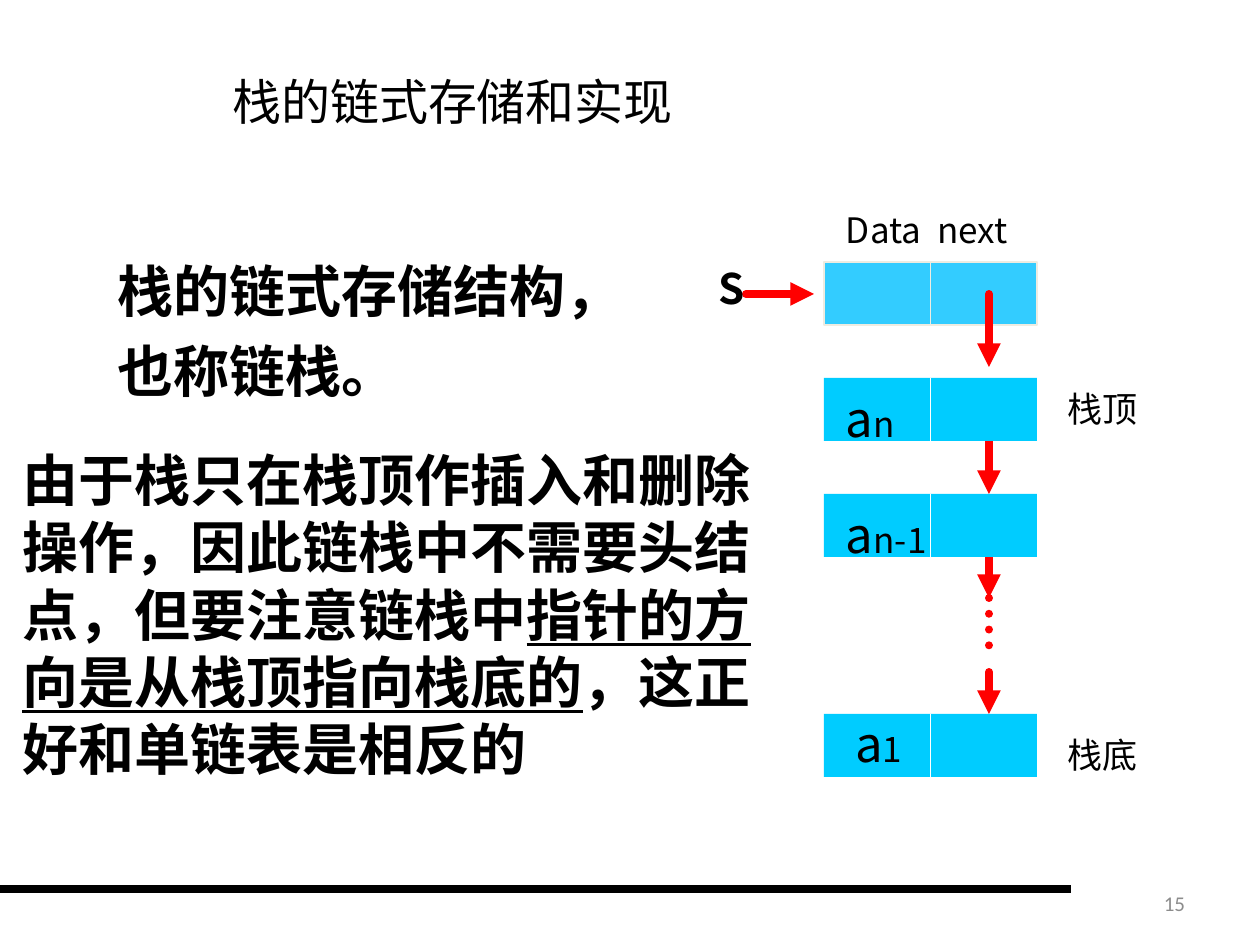
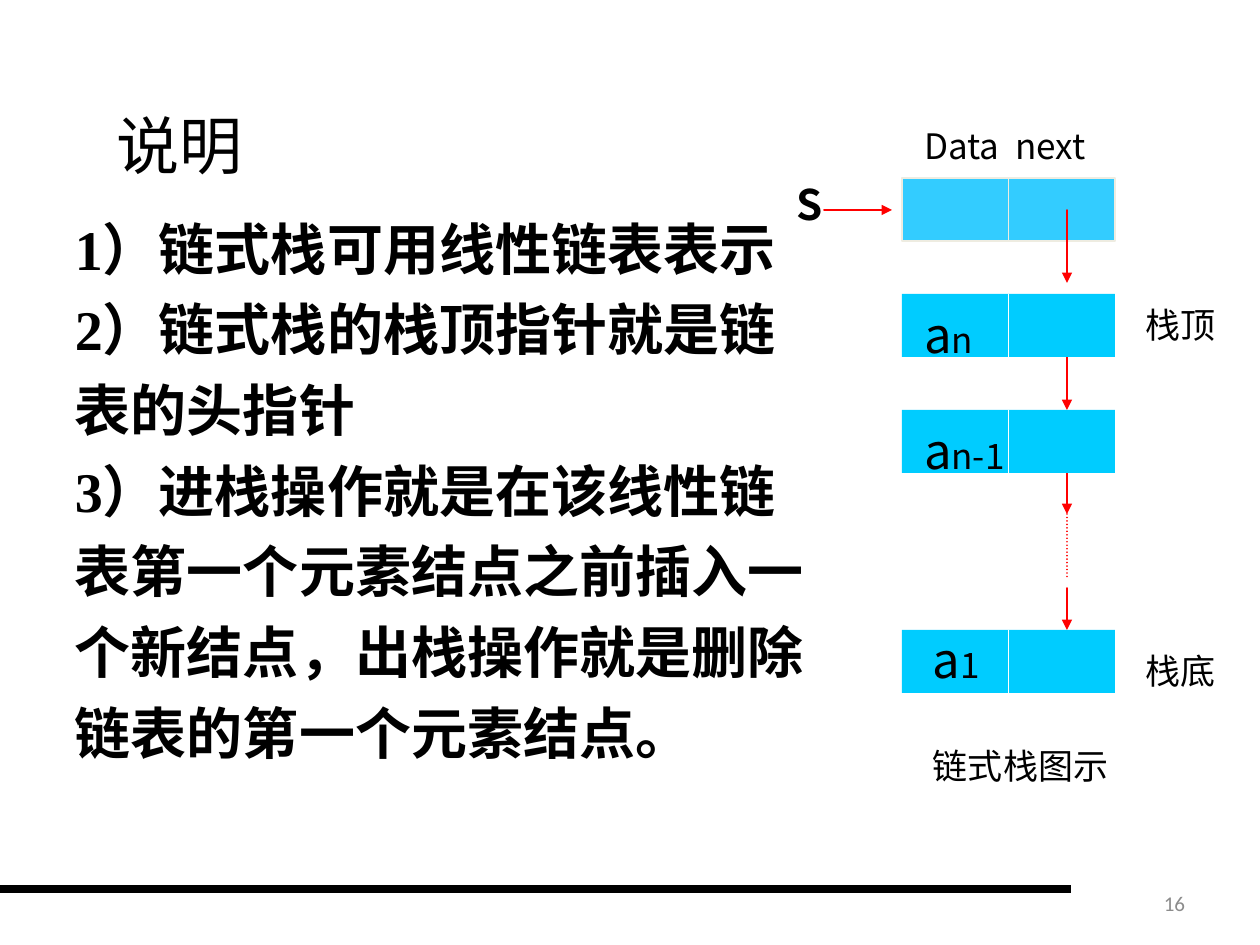
from dataclasses import dataclass

from lxml import etree
from pptx import Presentation
from pptx.dml.color import RGBColor
from pptx.enum.dml import MSO_LINE_DASH_STYLE
from pptx.enum.shapes import MSO_CONNECTOR, MSO_SHAPE
from pptx.enum.text import MSO_ANCHOR, PP_ALIGN
from pptx.oxml.ns import qn
from pptx.util import Pt

PX = 914400 / 126
SLIDE_W, SLIDE_H = 1260, 945
INSET_X, INSET_Y = 12, 6
BLANK_LAYOUT = 6

LEFT, CENTER, RIGHT = PP_ALIGN.LEFT, PP_ALIGN.CENTER, PP_ALIGN.RIGHT
TOP, MIDDLE = MSO_ANCHOR.TOP, MSO_ANCHOR.MIDDLE
RECTANGLE, STRAIGHT = MSO_SHAPE.RECTANGLE, MSO_CONNECTOR.STRAIGHT
ROUND_DOT = MSO_LINE_DASH_STYLE.ROUND_DOT
TOP_SIDE, BOTTOM_SIDE = 0, 2


@dataclass(frozen=True)
class Theme:
    ink: str = "000000"
    page_number: str = "8C8C8C"
    pointer: str = "FF0000"
    node: str = "00CCFF"
    node_divider: str = "FFFFFF"
    head: str = "33CCFF"
    head_edge: str = "EEECE1"
    sans: str = "Noto Sans CJK SC"
    serif: str = "Times New Roman"
    footer: str = "Calibri"
    body_size: int = 32
    element_size: int = 28
    pointer_size: int = 24
    label_size: int = 20
    footer_size: int = 12
    single: float = 1.2
    loose: float = 1.44
    text_drop: float = 0.1


THEME = Theme()


def emu(*lengths):
    return [round(length * PX) for length in lengths]


def rgb(code):
    return RGBColor.from_string(code)


def add_text(slide, box, paragraphs, *, size, font=THEME.sans, color=THEME.ink,
             bold=False, align=LEFT, anchor=TOP, pitch=THEME.single,
             right_inset=INSET_X):
    """Write paragraphs, each a string or a list of (text, font overrides)."""
    frame = slide.shapes.add_textbox(*emu(*box)).text_frame
    frame.word_wrap = True
    frame.vertical_anchor = anchor
    drop = THEME.text_drop * size * 126 / 72 * (2 if anchor == MIDDLE else 1)
    frame.margin_left, frame.margin_right = emu(INSET_X, right_inset)
    frame.margin_top, frame.margin_bottom = emu(INSET_Y + drop, INSET_Y)
    for index, content in enumerate(paragraphs):
        paragraph = frame.add_paragraph() if index else frame.paragraphs[0]
        paragraph.alignment = align
        paragraph.line_spacing = Pt(round(pitch * size, 1))
        runs = [(content, {})] if isinstance(content, str) else content
        for text, overrides in runs:
            run = paragraph.add_run()
            run.text = text
            run.font.name = font
            run.font.size = Pt(overrides.get("size", size))
            run.font.bold = bold
            run.font.underline = overrides.get("underline", False)
            run.font.color.rgb = rgb(color)
            east_asian = etree.SubElement(run.font._element, qn("a:ea"))
            east_asian.set("typeface", THEME.sans)


def add_line(slide, start, end, *, color, width, dash=None, arrow=False, cap="flat"):
    line = slide.shapes.add_connector(STRAIGHT, *emu(*start, *end))
    line.line.color.rgb = rgb(color)
    line.line.width = Pt(width)
    if dash:
        line.line.dash_style = dash
    properties = line._element.spPr
    outline = properties.find(qn("a:ln"))
    outline.set("cap", cap)
    if arrow:
        etree.SubElement(outline, qn("a:tailEnd")).set("type", "triangle")
    etree.SubElement(properties, qn("a:effectLst"))
    return line


def add_node(slide, left, top, *, fill, divider, edge=None):
    """Draw a list node split into its data half and its next half."""
    width, height = 213, 63
    node = slide.shapes.add_shape(RECTANGLE, *emu(left, top, width, height))
    node.shadow.inherit = False
    node.fill.solid()
    node.fill.fore_color.rgb = rgb(fill)
    if edge:
        node.line.color.rgb = rgb(edge)
        node.line.width = Pt(1)
    else:
        node.line.fill.background()
    middle = left + width / 2
    split = add_line(slide, (middle, top), (middle, top + height),
                     color=divider, width=1)
    split.begin_connect(node, TOP_SIDE)
    split.end_connect(node, BOTTOM_SIDE)


def add_linked_stack(slide, left, top, pointer_width):
    """Draw the chain from S through the top element to the bottom one."""
    node_left, next_x = left + 117, left + 282
    head_top, head_middle = top + 63, top + 95

    def pointer(start, end, **style):
        add_line(slide, start, end, color=THEME.pointer, width=pointer_width,
                 cap="rnd", **style)

    def next_pointer(start, end, **style):
        pointer((next_x, top + start), (next_x, top + end), **style)

    def label(x, y, width, height, content, size=THEME.label_size, bold=False):
        add_text(slide, (left + x, top + y, width, height), [content],
                 size=size, bold=bold, right_inset=0)

    for start, end in ((221, 295), (326, 399), (473, 515)):
        next_pointer(start, end, arrow=True)
    next_pointer(399, 462, dash=ROUND_DOT)
    pointer((left + 39, head_middle), (left + 107, head_middle), arrow=True)

    add_node(slide, node_left, head_top, fill=THEME.head,
             divider=THEME.head_edge, edge=THEME.head_edge)
    elements = (("n", 179, 127, 179), ("n-1", 295, 127, 295), ("1", 515, 136, 504))
    for subscript, node_top, text_x, text_y in elements:
        add_node(slide, node_left, top + node_top,
                 fill=THEME.node, divider=THEME.node_divider)
        label(text_x, text_y, 107, 72,
              [("a", {}), (subscript, {"size": THEME.label_size})],
              size=THEME.element_size)
    next_pointer(95, 168, arrow=True)

    label(127, 0, 271, 54, "Data  next")
    label(0, 53, 87, 63, "S", size=THEME.pointer_size, bold=True)
    label(349, 179, 126, 54, "栈顶")
    label(349, 525, 126, 54, "栈底")


def add_page(deck, title, title_box, title_size, number):
    """Start a slide with its title, footer rule and page number."""
    slide = deck.slides.add_slide(deck.slide_layouts[BLANK_LAYOUT])
    add_line(slide, (0, 889), (1071, 889), color=THEME.ink, width=4.5)
    add_text(slide, title_box, [title], size=title_size, font=THEME.serif,
             align=CENTER, anchor=MIDDLE)
    add_text(slide, (903, 876, 294, 50), [str(number)], size=THEME.footer_size,
             font=THEME.footer, color=THEME.page_number, align=RIGHT, anchor=MIDDLE)
    return slide


def build_storage_slide(deck):
    slide = add_page(deck, "栈的链式存储和实现", (84, 53, 737, 86), 28, 15)
    add_linked_stack(slide, 707, 199, pointer_width=4.5)
    add_text(slide, (10, 432, 787, 352), [[
        ("由于栈只在栈顶作插入和删除操作，因此链栈中不需要头结点，但要注意链栈中", {}),
        ("指针的方向是从栈顶指向栈底的", {"underline": True}),
        ("，这正好和单链表是相反的", {}),
    ]], size=THEME.body_size, bold=True, anchor=MIDDLE)
    add_text(slide, (105, 231, 535, 165), ["栈的链式存储结构，也称链栈。"],
             size=THEME.body_size, bold=True, pitch=THEME.loose)


def build_notes_slide(deck):
    slide = add_page(deck, "说明", (73, 94, 213, 88), 36, 16)
    add_text(slide, (921, 735, 301, 54), ["链式栈图示"], size=THEME.label_size)
    add_text(slide, (63, 189, 766, 576), [
        "1）链式栈可用线性链表表示",
        "2）链式栈的栈顶指针就是链表的头指针",
        "3）进栈操作就是在该线性链表第一个元素结点之前插入一个新结点，"
        "出栈操作就是删除链表的第一个元素结点。",
    ], size=THEME.body_size, font=THEME.serif, bold=True, pitch=THEME.loose)
    add_linked_stack(slide, 785, 115, pointer_width=1)


def main():
    deck = Presentation()
    deck.slide_width, deck.slide_height = emu(SLIDE_W, SLIDE_H)
    build_storage_slide(deck)
    build_notes_slide(deck)
    deck.save("out.pptx")


if __name__ == "__main__":
    main()
